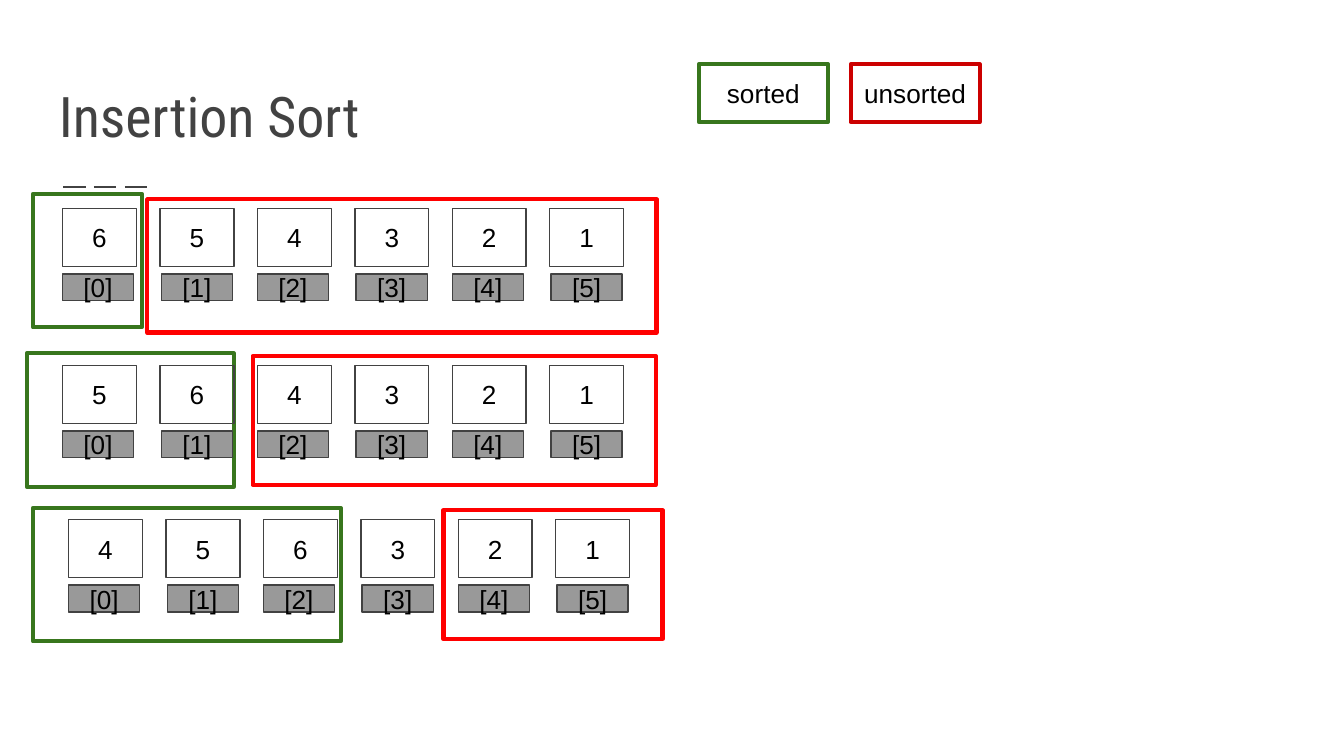
from dataclasses import dataclass

from pptx import Presentation
from pptx.dml.color import RGBColor
from pptx.enum.dml import MSO_LINE
from pptx.enum.shapes import MSO_CONNECTOR, MSO_SHAPE
from pptx.enum.text import MSO_ANCHOR, PP_ALIGN
from pptx.oxml.ns import qn
from pptx.util import Inches, Pt
from lxml.etree import SubElement


@dataclass(frozen=True)
class Theme:
    """Colours, fonts and point sizes of the slide."""
    ink: str = "424242"
    text: str = "000000"
    index_fill: str = "999999"
    sorted: str = "38761D"
    unsorted: str = "FF0000"
    unsorted_key: str = "CC0000"
    title_font: str = "Roboto Condensed"
    body_font: str = "Arial"
    title_size: float = 30
    body_size: float = 14
    thin: float = 0.75
    rule: float = 1.5
    thick: float = 2.25


THEME = Theme()
SLIDE_WIDTH = Inches(10)
SLIDE_HEIGHT = SLIDE_WIDTH * 9 // 16
COLUMN_PITCH = 7.25
CELL_WIDTH, CELL_HEIGHT = 5.5, 7.65
INDEX_WIDTH, INDEX_HEIGHT, INDEX_DROP = 5.3, 3.55, 8.65
ODD_INDEX_SHIFT = 0.1


def across(percent):
    """Turn a percentage of the slide width into a length."""
    return round(SLIDE_WIDTH * percent / 100)


def down(percent):
    """Turn a percentage of the slide height into a length."""
    return round(SLIDE_HEIGHT * percent / 100)


def place(area):
    """Turn left, top, width and height percentages into lengths."""
    left, top, width, height = area
    return across(left), down(top), across(width), down(height)


def set_frame(frame, anchor, wrap):
    """Set the anchor, wrapping and equal margins of a text frame."""
    frame.word_wrap = wrap
    frame.vertical_anchor = anchor
    frame.margin_left = frame.margin_right = Inches(0.1)
    frame.margin_top = frame.margin_bottom = Inches(0.1)


def add_span(para, text, font, size, color):
    """Add one formatted run to a paragraph."""
    span = para.add_run()
    span.text = text
    span.font.name = font
    span.font.size = Pt(size)
    span.font.color.rgb = RGBColor.from_string(color)


def add_box(page, area, line, weight, text="", fill=None):
    """Draw an outlined rectangle with optional centred text and fill."""
    box = page.shapes.add_shape(MSO_SHAPE.RECTANGLE, *place(area))
    box.shadow.inherit = False
    box.line.color.rgb = RGBColor.from_string(line)
    box.line.width = Pt(weight)
    if fill:
        box.fill.solid()
        box.fill.fore_color.rgb = RGBColor.from_string(fill)
    else:
        box.fill.background()
    if text:
        set_frame(box.text_frame, MSO_ANCHOR.MIDDLE, False)
        para = box.text_frame.paragraphs[0]
        para.alignment = PP_ALIGN.CENTER
        add_span(para, text, THEME.body_font, THEME.body_size, THEME.text)


def add_title(page, text, area):
    """Write the slide title, standing on the bottom of its box."""
    frame = page.shapes.add_textbox(*place(area)).text_frame
    set_frame(frame, MSO_ANCHOR.BOTTOM, True)
    add_span(frame.paragraphs[0], text, THEME.title_font, THEME.title_size, THEME.ink)


def add_dashed_rule(page, left, right, top):
    """Draw the dashed rule under the title."""
    rule = page.shapes.add_connector(
        MSO_CONNECTOR.STRAIGHT, across(left), down(top), across(right), down(top))
    rule.line.color.rgb = RGBColor.from_string(THEME.ink)
    rule.line.width = Pt(THEME.rule)
    rule.line.dash_style = MSO_LINE.LONG_DASH
    SubElement(rule.element.spPr, qn("a:effectLst"))


def add_step(page, left, top, values, sorted_area, unsorted_area):
    """Draw one state of the array with its two frames."""
    add_box(page, sorted_area, THEME.sorted, THEME.thick)
    add_box(page, unsorted_area, THEME.unsorted, THEME.thick)
    for column, value in enumerate(values):
        x = left + column * COLUMN_PITCH
        add_box(page, (x, top, CELL_WIDTH, CELL_HEIGHT), THEME.ink, THEME.thin, value)
        index_x = x + column % 2 * ODD_INDEX_SHIFT
        add_box(page, (index_x, top + INDEX_DROP, INDEX_WIDTH, INDEX_HEIGHT),
                THEME.ink, THEME.thin, f"[{column}]", THEME.index_fill)


def main():
    """Build the slide and save the deck."""
    deck = Presentation()
    deck.slide_width, deck.slide_height = SLIDE_WIDTH, SLIDE_HEIGHT
    page = deck.slides.add_slide(deck.slide_layouts[6])
    add_dashed_rule(page, 4.7, 11.4, 24.75)
    add_title(page, "Insertion Sort", (3.4, 7.3, 32.1, 14.2))
    add_box(page, (52, 8.5, 9.6, CELL_HEIGHT), THEME.sorted, THEME.thick, "sorted")
    add_box(page, (63.3, 8.5, 9.6, CELL_HEIGHT),
            THEME.unsorted_key, THEME.thick, "unsorted")
    add_step(page, 4.65, 27.6, "654321",
             (2.45, 25.65, 8.1, 17.65), (10.95, 26.35, 37.9, 17.65))
    add_step(page, 4.65, 48.35, "564321",
             (2, 46.75, 15.4, 17.65), (18.8, 47.1, 30, 17.05))
    add_step(page, 5.1, 68.75, "456321",
             (2.45, 67.2, 22.9, 17.65), (33, 67.5, 16.3, 17.05))
    deck.save("out.pptx")


if __name__ == "__main__":
    main()
